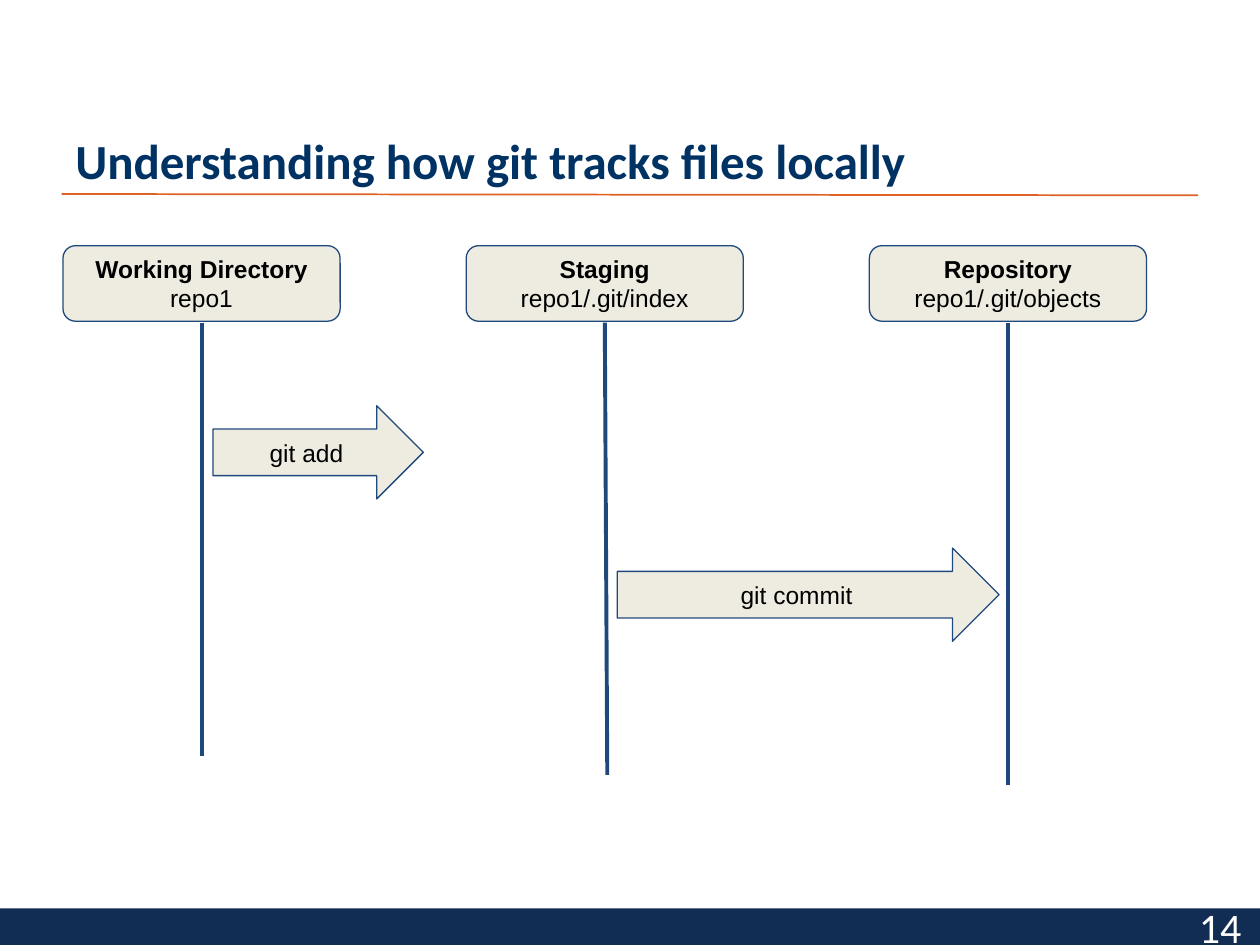
"""Build a slide showing how git moves files between its three local areas."""
from lxml.etree import SubElement
from pptx import Presentation
from pptx.dml.color import RGBColor
from pptx.enum.shapes import MSO_CONNECTOR as Connector, MSO_SHAPE as Shape
from pptx.enum.text import MSO_ANCHOR as Anchor, PP_ALIGN as Align
from pptx.oxml.ns import qn
from pptx.util import Inches, Pt

ORANGE = RGBColor(0xDE, 0x62, 0x24)
NAVY = RGBColor(0x11, 0x2D, 0x53)
TITLE_BLUE = RGBColor(0x00, 0x32, 0x63)
LINE_BLUE = RGBColor(0x1F, 0x49, 0x7D)
BEIGE = RGBColor(0xEE, 0xEC, 0xE1)
BLACK = RGBColor(0x00, 0x00, 0x00)
WHITE = RGBColor(0xFF, 0xFF, 0xFF)


def write_text(shape, lines, color, align, anchor, margin, **font_format):
    frame = shape.text_frame
    frame_format = {
        "word_wrap": True,
        "vertical_anchor": anchor,
        "margin_left": Inches(0.1),
        "margin_right": Inches(0.1),
        "margin_top": Inches(margin),
        "margin_bottom": Inches(margin),
    }
    for name, value in frame_format.items():
        setattr(frame, name, value)
    for index, (text, bold) in enumerate(lines):
        paragraph = frame.add_paragraph() if index else frame.paragraphs[0]
        paragraph.alignment = align
        run = paragraph.add_run()
        run.text = text
        run.font.color.rgb = color
        for name, value in {**font_format, "bold": bold}.items():
            setattr(run.font, name, value)


def add_line(slide, start, end, color, width):
    points = [Inches(value) for value in (*start, *end)]
    line = slide.shapes.add_connector(Connector.STRAIGHT, *points)
    line.line.color.rgb = color
    line.line.width = Pt(width)
    SubElement(line._element.spPr, qn("a:effectLst"))


presentation = Presentation()
presentation.slide_width = Inches(10)
presentation.slide_height = Inches(7.5)
slide = presentation.slides.add_slide(presentation.slide_layouts[6])

add_line(slide, (0.49, 1.54), (9.51, 1.55), ORANGE, 1)

footer = slide.shapes.add_shape(
    Shape.RECTANGLE, Inches(0), Inches(7.21), Inches(10.02), Inches(0.29)
)
footer.shadow.inherit = False
footer.fill.solid()
footer.fill.fore_color.rgb = NAVY
footer.line.fill.background()

title = slide.shapes.add_textbox(Inches(0.5), Inches(0.3), Inches(7.6), Inches(1.25))
write_text(
    title, [("Understanding how git tracks files locally", True)], TITLE_BLUE,
    Align.LEFT, Anchor.BOTTOM, 0.05, name="Calibri", size=Pt(28),
)

number = slide.shapes.add_textbox(Inches(7.7), Inches(7.21), Inches(2.25), Inches(0.29))
write_text(
    number, [("14", False)], WHITE,
    Align.RIGHT, Anchor.MIDDLE, 0.05, name="Calibri", size=Pt(24),
)

BOX_LEFT, BOX_TOP, BOX_WIDTH, BOX_HEIGHT, BOX_STEP = 0.5, 1.95, 2.2, 0.6, 3.2
areas = [
    ("Working Directory", "repo1", 0, 6),
    ("Staging", "repo1/.git/index", 0.02, 6.15),
    ("Repository", "repo1/.git/objects", 0, 6.23),
]
blocks = []
for index, (heading, location, drift, bottom) in enumerate(areas):
    left = BOX_LEFT + index * BOX_STEP
    center = left + BOX_WIDTH / 2
    add_line(slide, (center, 2.56), (center + drift, bottom), LINE_BLUE, 2.25)
    blocks.append((
        Shape.ROUNDED_RECTANGLE, (left, BOX_TOP, BOX_WIDTH, BOX_HEIGHT),
        [(heading, True), (location, False)],
    ))

blocks += [
    (Shape.RIGHT_ARROW, (1.69, 3.22, 1.67, 0.74), [("git add", False)]),
    (Shape.RIGHT_ARROW, (4.9, 4.35, 3.03, 0.74), [("git commit", False)]),
]
for kind, bounds, lines in blocks:
    block = slide.shapes.add_shape(kind, *[Inches(value) for value in bounds])
    block.shadow.inherit = False
    block.fill.solid()
    block.fill.fore_color.rgb = BEIGE
    block.line.color.rgb = LINE_BLUE
    block.line.width = Pt(0.75)
    write_text(
        block, lines, BLACK,
        Align.CENTER, Anchor.MIDDLE, 0.1, name="Arial", size=Pt(14),
    )

presentation.save("out.pptx")
